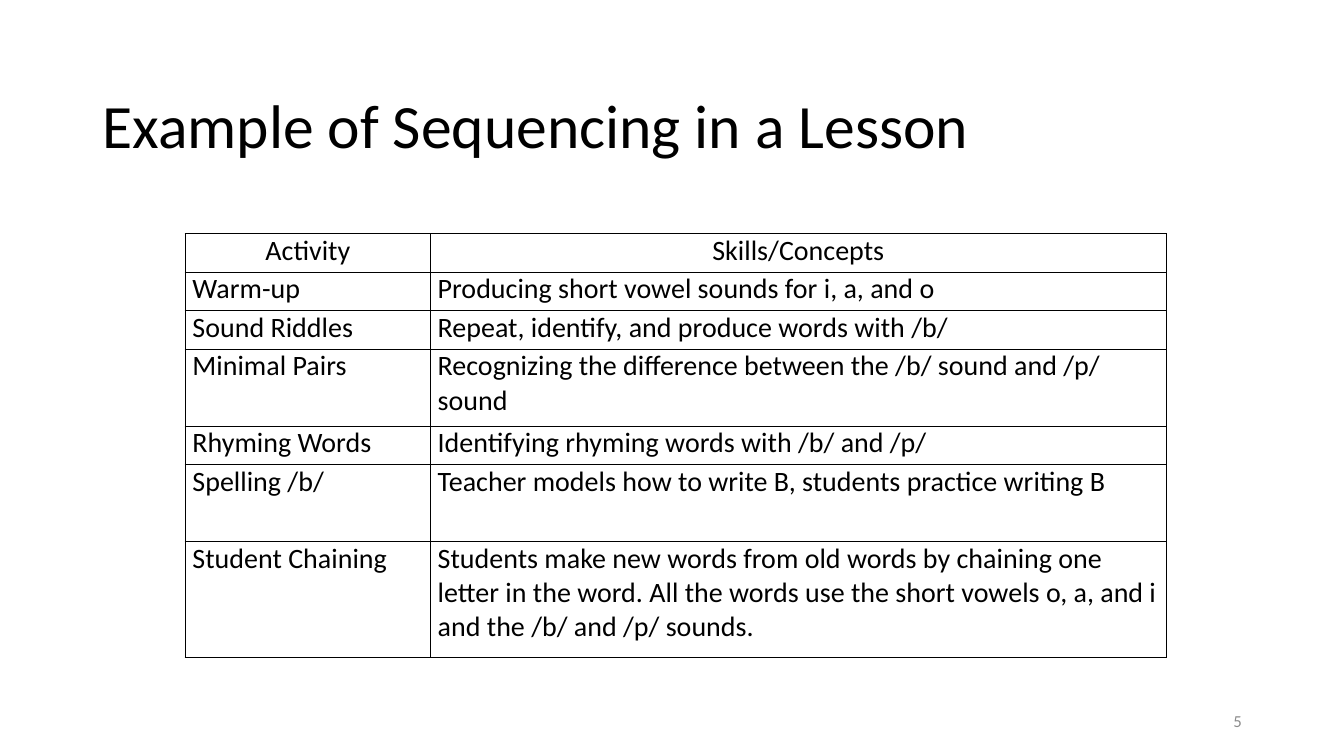
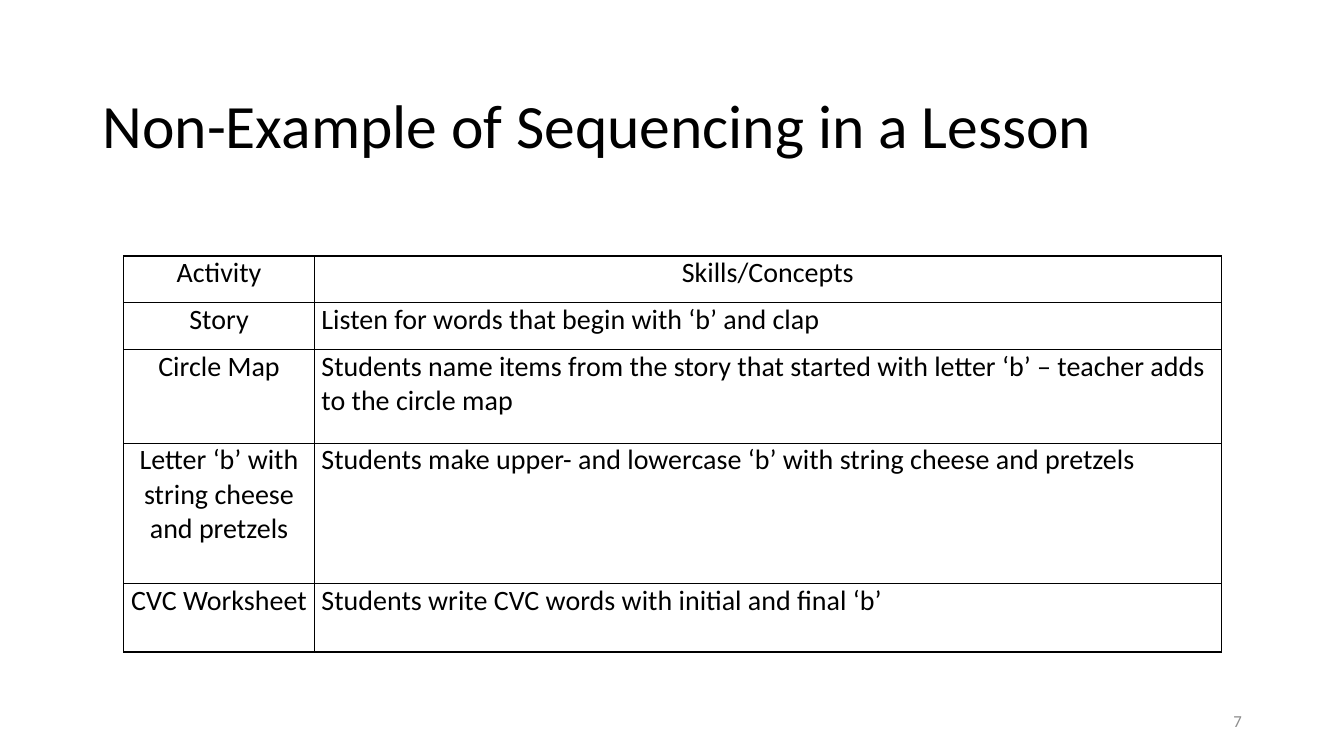
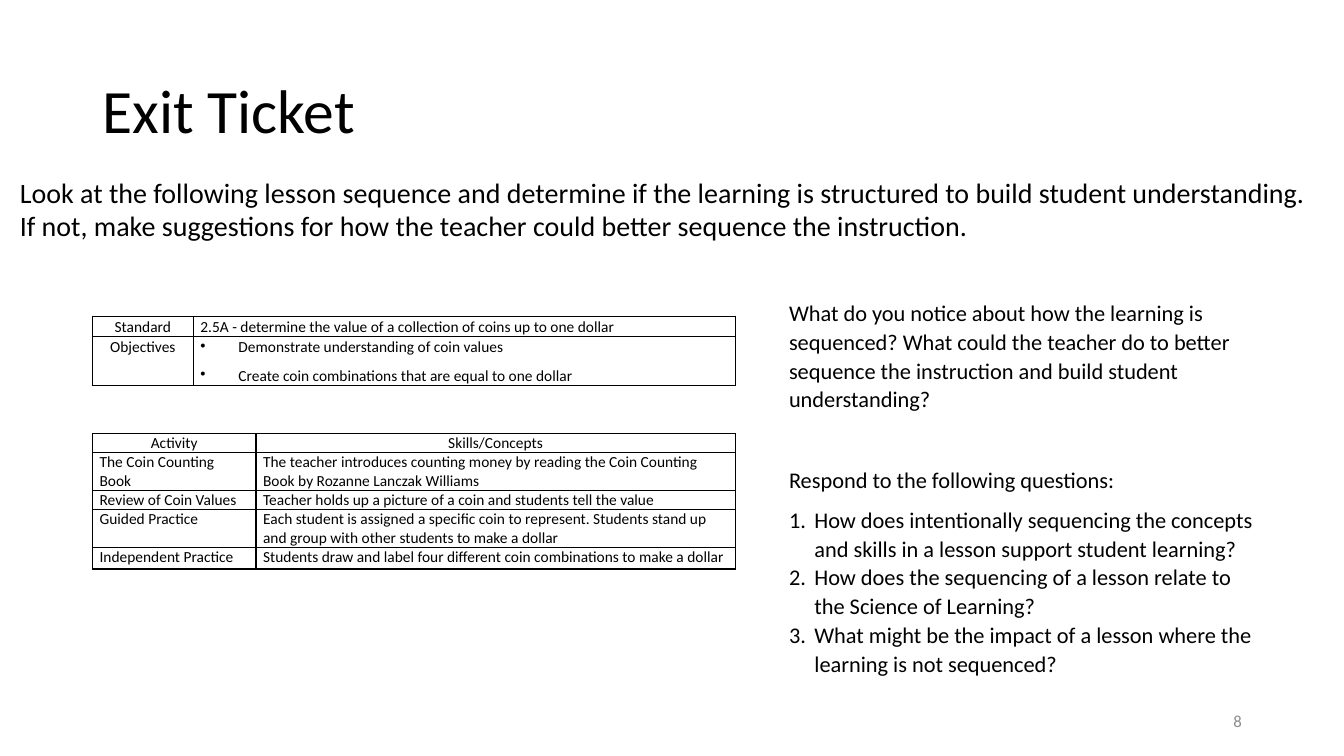
from lxml.etree import SubElement
from pptx import Presentation
from pptx.dml.color import RGBColor
from pptx.enum.text import MSO_ANCHOR, MSO_AUTO_SIZE, PP_ALIGN
from pptx.oxml.ns import qn
from pptx.util import Cm, Pt

# Shared look
FONT = "Calibri"
BLACK = RGBColor(0x00, 0x00, 0x00)
GREY = RGBColor(0x8C, 0x8C, 0x8C)
MARGIN = 2.33
HEADERS = ("Activity", "Skills/Concepts")
TITLE_ONLY, TITLE_AND_BODY = 5, 1

EXAMPLE = [
    HEADERS,
    ("Warm-up", "Producing short vowel sounds for i, a, and o"),
    ("Sound Riddles", "Repeat, identify, and produce words with /b/"),
    ("Minimal Pairs", "Recognizing the difference between the /b/ sound and /p/ sound"),
    ("Rhyming Words", "Identifying rhyming words with /b/ and /p/"),
    ("Spelling /b/", "Teacher models how to write B, students practice writing B"),
    ("Student Chaining", "Students make new words from old words by chaining one letter in the word. "
     "All the words use the short vowels o, a, and i and the /b/ and /p/ sounds."),
]
NON_EXAMPLE = [
    HEADERS,
    ("Story", "Listen for words that begin with ‘b’ and clap"),
    ("Circle Map", "Students name items from the story that started with letter ‘b’ – "
     "teacher adds to the circle map"),
    ("Letter ‘b’ with string cheese and pretzels",
     "Students make upper- and lowercase ‘b’ with string cheese and pretzels"),
    ("CVC Worksheet", "Students write CVC words with initial and final ‘b’"),
]
STANDARD = [
    ("Standard", "2.5A - determine the value of a collection of coins up to one dollar"),
    ("Objectives", ["Demonstrate understanding of coin values",
                    "Create coin combinations that are equal to one dollar"]),
]
COIN_LESSON = [
    HEADERS,
    ("The Coin Counting Book", "The teacher introduces counting money by reading the "
     "Coin Counting Book by Rozanne Lanczak Williams"),
    ("Review of Coin Values", "Teacher holds up a picture of a coin and students tell the value"),
    ("Guided Practice", "Each student is assigned a specific coin to represent. "
     "Students stand up and group with other students to make a dollar"),
    ("Independent Practice", "Students draw and label four different coin combinations to make a dollar"),
]
INTRO = [
    "Look at the following lesson sequence and determine if the learning is structured "
    "to build student understanding.",
    "If not, make suggestions for how the teacher could better sequence the instruction.",
]
REFLECTION = ("What do you notice about how the learning is sequenced? What could the teacher do "
              "to better sequence the instruction and build student understanding?")
PROMPT = "Respond to the following questions:"
QUESTIONS = [
    "How does intentionally sequencing the concepts and skills in a lesson support student learning?",
    "How does the sequencing of a lesson relate to the Science of Learning?",
    "What might be the impact of a lesson where the learning is not sequenced?",
]


def add_text(tf, text, size, color=BLACK, align=PP_ALIGN.LEFT, spacing=1.0,
             before=0, after=0, bullet=None, indent=0):
    """Add one paragraph, filling the empty first one if it is free."""
    first = tf.paragraphs[0]
    p = tf.add_paragraph() if first.runs else first
    p.alignment = align
    p.line_spacing = spacing
    p.space_before = Pt(before)
    p.space_after = Pt(after)
    pPr = p._p.get_or_add_pPr()
    pPr.set("marL", str(Cm(indent)))
    pPr.set("indent", str(-Cm(indent)))
    if bullet == "number":
        SubElement(pPr, qn("a:buAutoNum"), type="arabicPeriod")
    elif bullet:
        SubElement(pPr, qn("a:buChar"), char=bullet)
    else:
        SubElement(pPr, qn("a:buNone"))
    r = p.add_run()
    r.text = text
    r.font.name = FONT
    r.font.size = Pt(size)
    r.font.color.rgb = color


def place(sp, left, top, width, height, anchor=MSO_ANCHOR.TOP):
    sp.left, sp.top, sp.width, sp.height = Cm(left), Cm(top), Cm(width), Cm(height)
    tf = sp.text_frame
    tf.word_wrap = True
    tf.auto_size = MSO_AUTO_SIZE.NONE
    tf.vertical_anchor = anchor
    return tf


def add_box(s, left, top, width, height, anchor=MSO_ANCHOR.TOP):
    sp = s.shapes.add_textbox(0, 0, 0, 0)
    return place(sp, left, top, width, height, anchor)


def new_slide(prs, layout, title, number, title_top=1.4):
    """Start a slide with its title and slide number."""
    s = prs.slides.add_slide(prs.slide_layouts[layout])
    tf = place(s.shapes.title, MARGIN, title_top, 29.21, 3.68, MSO_ANCHOR.MIDDLE)
    add_text(tf, title, 44, spacing=0.9)
    tf = add_box(s, 23.93, 17.65, 7.62, 1.02, MSO_ANCHOR.MIDDLE)
    add_text(tf, number, 12, GREY, PP_ALIGN.RIGHT)
    return s


def format_cell(cell):
    cell.margin_left = cell.margin_right = Cm(0.18)
    cell.margin_top = cell.margin_bottom = 0
    tcPr = cell._tc.get_or_add_tcPr()
    for side in ("lnL", "lnR", "lnT", "lnB"):
        ln = SubElement(tcPr, qn(f"a:{side}"), w=str(Pt(1)))
        fill = SubElement(ln, qn("a:solidFill"))
        SubElement(fill, qn("a:srgbClr"), val=str(BLACK))
    cell.fill.background()


def add_grid(s, left, top, widths, heights, rows, size, first_align=PP_ALIGN.LEFT, spacing=1.0):
    """Add a ruled table; a list in a cell becomes bullets."""
    table = s.shapes.add_table(len(rows), len(widths), Cm(left), Cm(top),
                               Cm(sum(widths)), Cm(sum(heights))).table
    table.first_row = table.horz_banding = False
    for column, width in zip(table.columns, widths):
        column.width = Cm(width)
    for i, (row, height) in enumerate(zip(rows, heights)):
        table.rows[i].height = Cm(height)
        for j, content in enumerate(row):
            cell = table.cell(i, j)
            format_cell(cell)
            if isinstance(content, list):
                for k, item in enumerate(content):
                    add_text(cell.text_frame, item, size, spacing=spacing,
                             before=6 if k else 0, bullet="•", indent=0.96)
                continue
            align = first_align if j == 0 else PP_ALIGN.LEFT
            if row is HEADERS:
                align = PP_ALIGN.CENTER
            add_text(cell.text_frame, content, size, align=align, spacing=spacing)


def example_slide(prs):
    s = new_slide(prs, TITLE_ONLY, "Example of Sequencing in a Lesson", "5")
    heights = [0.97 * lines for lines in (1, 1, 1, 2, 1, 2, 3)]
    add_grid(s, 4.67, 5.89, (6.18, 18.54), heights, EXAMPLE, 20)


def non_example_slide(prs):
    s = new_slide(prs, TITLE_ONLY, "Non-Example of Sequencing in a Lesson", "7")
    heights = [1.18 * lines for lines in (1, 1, 2, 3)] + [1.72]
    add_grid(s, 3.12, 6.45, (4.8, 22.86), heights, NON_EXAMPLE, 20, PP_ALIGN.CENTER)


def add_questions(sp, left, top, width, height):
    tf = place(sp, left, top, width, height)
    add_text(tf, REFLECTION, 16, spacing=1.07, after=37)
    add_text(tf, PROMPT, 16, spacing=1.07, after=8)
    for question in QUESTIONS:
        add_text(tf, question, 16, spacing=1.07, bullet="number", indent=0.64)


def exit_ticket_slide(prs):
    s = new_slide(prs, TITLE_AND_BODY, "Exit Ticket", "8", title_top=1.02)
    # Task across the top
    tf = add_box(s, 0.25, 4.29, 33.38, 2)
    for line in INTRO:
        add_text(tf, line, 20)
    # Lesson plan on the left
    add_grid(s, MARGIN, 7.97, (2.54, 13.66), (0.51, 1.24), STANDARD, 11, PP_ALIGN.CENTER, 1.07)
    heights = [0.48 * lines for lines in (1, 2, 1, 2)] + [0.54]
    add_grid(s, MARGIN, 10.92, (4.12, 12.08), heights, COIN_LESSON, 11)
    # Questions on the right
    add_questions(s.placeholders[1], 19.63, 7.37, 12.22, 9.86)


def main():
    prs = Presentation()
    prs.slide_width, prs.slide_height = Cm(33.87), Cm(19.05)
    example_slide(prs)
    non_example_slide(prs)
    exit_ticket_slide(prs)
    prs.save("out.pptx")


if __name__ == "__main__":
    main()
